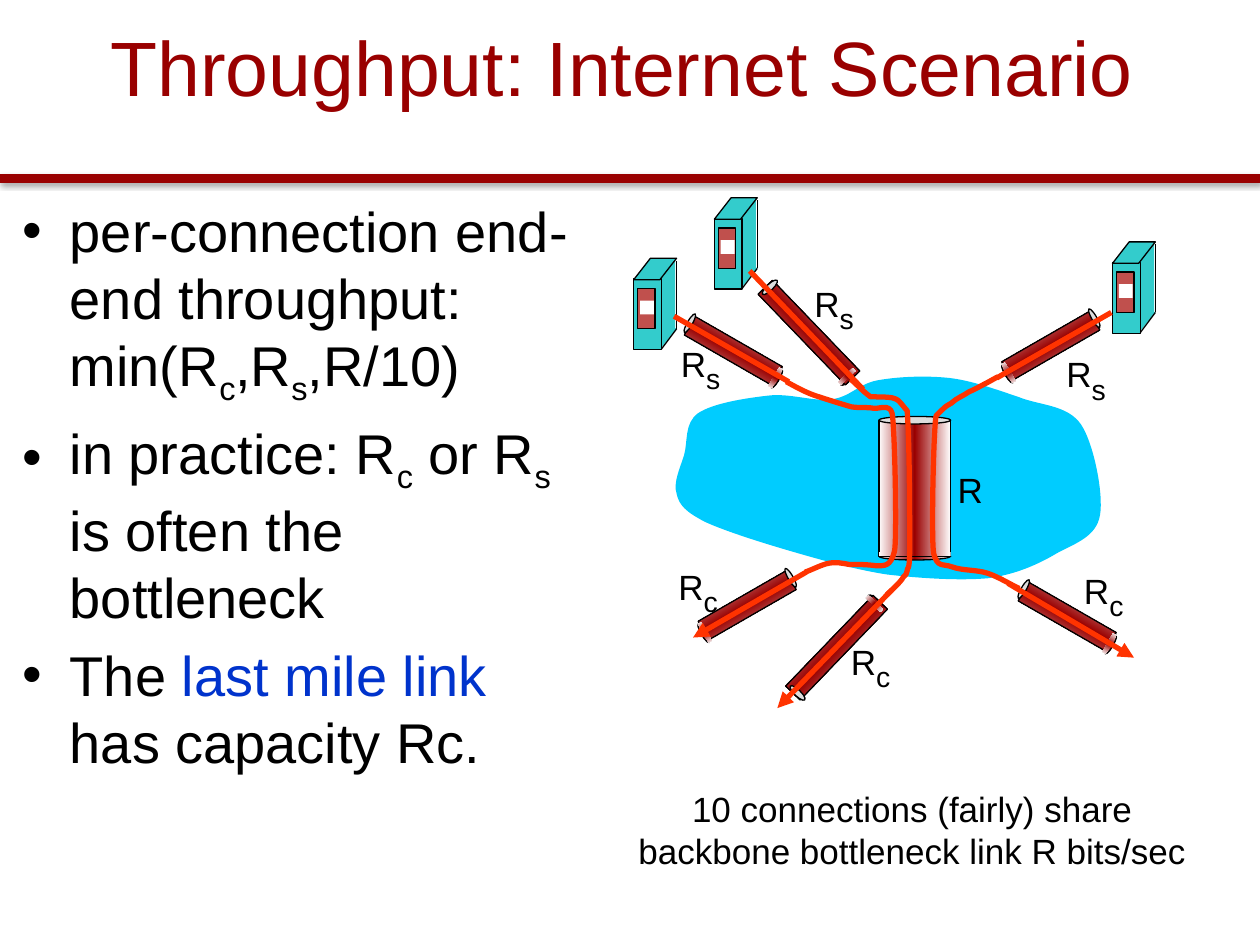
import copy

import lxml.etree
import pptx
import pptx.dml.color
import pptx.enum.shapes
import pptx.enum.text
import pptx.oxml.ns
import pptx.util

RGB = pptx.dml.color.RGBColor
KIND = pptx.enum.shapes.MSO_SHAPE
ALIGN = pptx.enum.text.PP_ALIGN
ANCHOR = pptx.enum.text.MSO_ANCHOR
FIT = pptx.enum.text.MSO_AUTO_SIZE
qn = pptx.oxml.ns.qn

RED = RGB(0x99, 0x00, 0x00)
FLAME = RGB(0xFF, 0x33, 0x00)
TEAL = RGB(0x33, 0xCC, 0xCC)
SKY = RGB(0x00, 0xCC, 0xFF)
BLUE = RGB(0x00, 0x33, 0xCC)
BRICK = RGB(0xC0, 0x50, 0x4D)
GREY = RGB(0xDD, 0xDD, 0xDD)
WHITE = RGB(0xFF, 0xFF, 0xFF)
BLACK = RGB(0x00, 0x00, 0x00)

# Square grid: 1000 columns by 750 rows
COLS, ROWS = 1000, 750
CELL = pptx.util.Inches(10) // COLS

# Curves: a start point, then three Bezier points for each arc
CLOUD = [(696, 302), (681, 305), (675, 315), (660, 317), (646, 319), (627, 312), (610, 314),
         (592, 316), (566, 320), (554, 328), (543, 336), (546, 350), (543, 361),
         (540, 371), (534, 383), (537, 392), (539, 401), (544, 406), (559, 414),
         (574, 421), (602, 430), (626, 437), (650, 444), (678, 452), (704, 456),
         (730, 459), (761, 461), (784, 459), (806, 456), (824, 448), (839, 439),
         (854, 431), (870, 426), (873, 409), (876, 392), (868, 352), (858, 337),
         (847, 321), (825, 322), (808, 315), (790, 309), (771, 302), (753, 300),
         (734, 298), (712, 299), (696, 302)]
FLOWS = [
    [(624, 303), (628, 305), (638, 311), (647, 314), (656, 317), (669, 321), (676, 323),
     (684, 324), (687, 323), (693, 324), (697, 325), (706, 320), (708, 328),
     (710, 336), (712, 425), (710, 437), (707, 450), (702, 449), (695, 449),
     (688, 448), (681, 448), (674, 448), (668, 447), (664, 446), (658, 447),
     (652, 448), (643, 453), (639, 454)],
    [(675, 301), (678, 303), (684, 310), (691, 315), (715, 315), (711, 316), (720, 326),
     (722, 352), (722, 414), (722, 435), (722, 456), (720, 449), (720, 453),
     (719, 456), (720, 455), (717, 458), (715, 462), (707, 469), (704, 472)],
    [(792, 299), (790, 300), (785, 303), (781, 305), (777, 307), (774, 309), (769, 311),
     (765, 314), (759, 316), (755, 320), (750, 323), (752, 321), (743, 330),
     (741, 338), (739, 426), (741, 439), (744, 451), (748, 447), (756, 450),
     (764, 453), (775, 452), (784, 455), (793, 458), (804, 465), (809, 467)],
]
SERVERS = [(503, 205), (567, 157), (883, 192)]
# Size of a tube: length, width, cap, and the way from its centre to a cap
BROAD, SHORT, LONG = (108, 57, 6, 0, 54), (80, 17, 4, 34.5, 22), (100, 16, 5, 31, 36)
# Centre, size, angle, and the side on which the tube ends
PIPES = [(726, 387.5, BROAD, 90, 1), (582, 278.5, SHORT, 29.9, 1), (642, 264, LONG, 46.1, 1),
         (593, 480.5, SHORT, 330.1, -1), (664, 514, LONG, 313.9, 1),
         (834, 274.5, SHORT, 330.1, -1), (847, 489.5, SHORT, 29.9, 1)]
LINKS = [((535, 251), (626, 303), False), ((595, 215), (685, 309), False),
         ((640, 454), (550, 506), True), ((708, 468), (617, 562), True),
         ((882, 248), (791, 300), False), ((800, 463), (900, 522), True)]
LABELS = [(519, 256, "s"), (625, 208, "s"), (825, 264, "s"), (517, 433, "c"),
          (654, 492, "c"), (839, 436, "c"), (733, 367, "")]
POINTS = [
    [("per-connection end-end throughput: min(R", ""), ("c", "sub"), (",R", ""),
     ("s", "sub"), (",R/10)", "")],
    [("in practice: R", ""), ("c", "sub"), (" or R", ""), ("s", "sub"),
     (" is often the bottleneck", "")],
    [("The ", ""), ("last mile link ", "blue"), ("has capacity Rc.", "")],
]


def grid(*cells):
    return [round(cell * CELL) for cell in cells]


def paint(shape, fill=None, line=None, width=0.75):
    shape.shadow.inherit = False
    if fill is None:
        shape.fill.background()
    else:
        shape.fill.solid()
        shape.fill.fore_color.rgb = fill
    if line is None:
        shape.line.fill.background()
    else:
        shape.line.color.rgb = line
        shape.line.width = pptx.util.Pt(width)


def fade(shape):
    """Fill across the shape from white to red and back."""
    shape.fill.gradient()
    shape.fill.gradient_angle = 270
    stops = shape._element.spPr.find(".//" + qn("a:gsLst"))
    stops.append(copy.deepcopy(stops[0]))
    for stop, place, tint in zip(shape.fill.gradient_stops, (0, 0.5, 1), (WHITE, RED, WHITE)):
        stop.position = place
        stop.color.rgb = tint


def block(slide, kind, box, fill, line=None):
    shape = slide.shapes.add_shape(kind, *grid(*box))
    paint(shape, fill, line)
    return shape


def stroke(slide, start, end, tint=BLACK, width=0.75, arrow=False):
    """Draw a straight line and return its effect list."""
    line = slide.shapes.add_connector(
        pptx.enum.shapes.MSO_CONNECTOR.STRAIGHT, *grid(*start, *end))
    line.line.color.rgb = tint
    line.line.width = pptx.util.Pt(width)
    if arrow:
        lxml.etree.SubElement(line.line._get_or_add_ln(), qn("a:tailEnd"), type="triangle")
    return lxml.etree.SubElement(line._element.spPr, qn("a:effectLst"))


def rule(slide):
    effects = stroke(slide, (0, 141.6), (COLS, 141.6), RED, 5)
    shade = lxml.etree.SubElement(effects, qn("a:outerShdw"), blurRad="39370", dist="20320",
                                  dir="5400000", rotWithShape="0")
    tint = lxml.etree.SubElement(shade, qn("a:srgbClr"), val="000000")
    lxml.etree.SubElement(tint, qn("a:alpha"), val="38000")


def curve(slide, dots, fill=None, line=None):
    """Draw Bezier arcs; a filled curve is closed."""
    pen = slide.shapes.build_freeform(*dots[0], scale=CELL)
    pen.add_line_segments(dots[1:], close=fill is not None)
    shape = pen.convert_to_shape()
    paint(shape, fill, line, 3)
    legs = shape._element.spPr.findall(".//" + qn("a:lnTo"))
    for i in range(0, len(legs), 3):
        arc = lxml.etree.Element(qn("a:cubicBezTo"))
        legs[i].addprevious(arc)
        for leg in legs[i:i + 3]:
            arc.append(leg[0])
            leg.getparent().remove(leg)


def server(slide, x, y):
    def lid(top, line=None):
        block(slide, KIND.PARALLELOGRAM, (x, top, 34, 17), TEAL, line).adjustments[0] = 0.78

    lid(y + 55.5)
    block(slide, KIND.RECTANGLE, (x + 17, y + 0.5, 16, 56), TEAL)
    block(slide, KIND.RECTANGLE, (x, y + 16.5, 22, 56), TEAL, BLACK)
    lid(y, BLACK)
    stroke(slide, (x + 34, y + 2), (x + 34, y + 56))
    stroke(slide, (x + 34, y + 56), (x + 22, y + 72))
    block(slide, KIND.RECTANGLE, (x + 3, y + 24, 14, 32), BRICK, BLACK)
    block(slide, KIND.RECTANGLE, (x + 5, y + 33.5, 11, 11), WHITE)


def pipe(slide, x, y, size, angle, side):
    """Lay a tube around its centre, with the grey mouth at its start."""
    length, width, cap, across, down = size
    if angle > 300 and side > 0:
        down = -down
    for kind, share, long, fill, line in (
            (KIND.OVAL, 1, cap, None, BLACK),
            (KIND.RECTANGLE, 0, length, None, BLACK),
            (KIND.OVAL, -1, cap, GREY, BLACK),
            (KIND.RECTANGLE, 0.97, 3, None, None)):
        left = x + share * side * across - long / 2
        top = y + share * down - width / 2
        shape = block(slide, kind, (left, top, long, width), fill, line)
        shape.rotation = angle
        if fill is None:
            fade(shape)


def write(para, parts, size, small=None):
    """Fill a paragraph with (text, style) parts."""
    for text, style in parts:
        run = para.add_run()
        run.text = text
        font = run.font
        font.name = "Arial"
        font.size = pptx.util.Pt(small if small and style == "sub" else size)
        font.color.rgb = {"blue": BLUE, "title": RED}.get(style, BLACK)
        if style == "sub":
            font._element.set("baseline", "-25000")


def frame(slide, *box):
    text = slide.shapes.add_textbox(*grid(*box)).text_frame
    text.word_wrap = True
    return text


def note(slide, box, parts, size, small=None):
    text = frame(slide, *box)
    text.auto_size = FIT.SHAPE_TO_FIT_TEXT
    text.paragraphs[0].alignment = ALIGN.CENTER
    write(text.paragraphs[0], parts, size, small)
    return text


def title(slide):
    text = note(slide, (-12, 5, 1012, 94), [("Throughput: Internet Scenario", "title")], 44)
    text.auto_size = FIT.NONE
    text.vertical_anchor = ANCHOR.MIDDLE


def body(slide):
    text = frame(slide, 8, 151, 472, 562)
    for i, parts in enumerate(POINTS):
        para = text.add_paragraph() if i else text.paragraphs[0]
        props = para._p.get_or_add_pPr()
        props.set("marL", "342900")
        props.set("indent", "-342900")
        lxml.etree.SubElement(props, qn("a:buFont"), typeface="Arial")
        lxml.etree.SubElement(props, qn("a:buChar"), char="•")
        para.space_before = pptx.util.Pt(6.4 if i else 0)
        write(para, parts, 32)


def main():
    deck = pptx.Presentation()
    deck.slide_width, deck.slide_height = grid(COLS, ROWS)
    slide = deck.slides.add_slide(deck.slide_layouts[6])
    rule(slide)
    title(slide)
    note(slide, (480, 620, 488, 77),
         [("10 connections (fairly) share backbone bottleneck link R bits/sec", "")], 20)
    curve(slide, CLOUD, fill=SKY)
    for spot in SERVERS:
        server(slide, *spot)
    for tube in PIPES:
        pipe(slide, *tube)
    for start, end, arrow in LINKS:
        stroke(slide, start, end, FLAME, 3, arrow)
    for x, y, sub in LABELS:
        parts = [("R", ""), (sub, "sub")] if sub else [("R", "")]
        note(slide, (x, y, 74, 44), parts, 20, 28)
    for flow in FLOWS:
        curve(slide, flow, line=FLAME)
    body(slide)
    deck.save("out.pptx")


if __name__ == "__main__":
    main()
